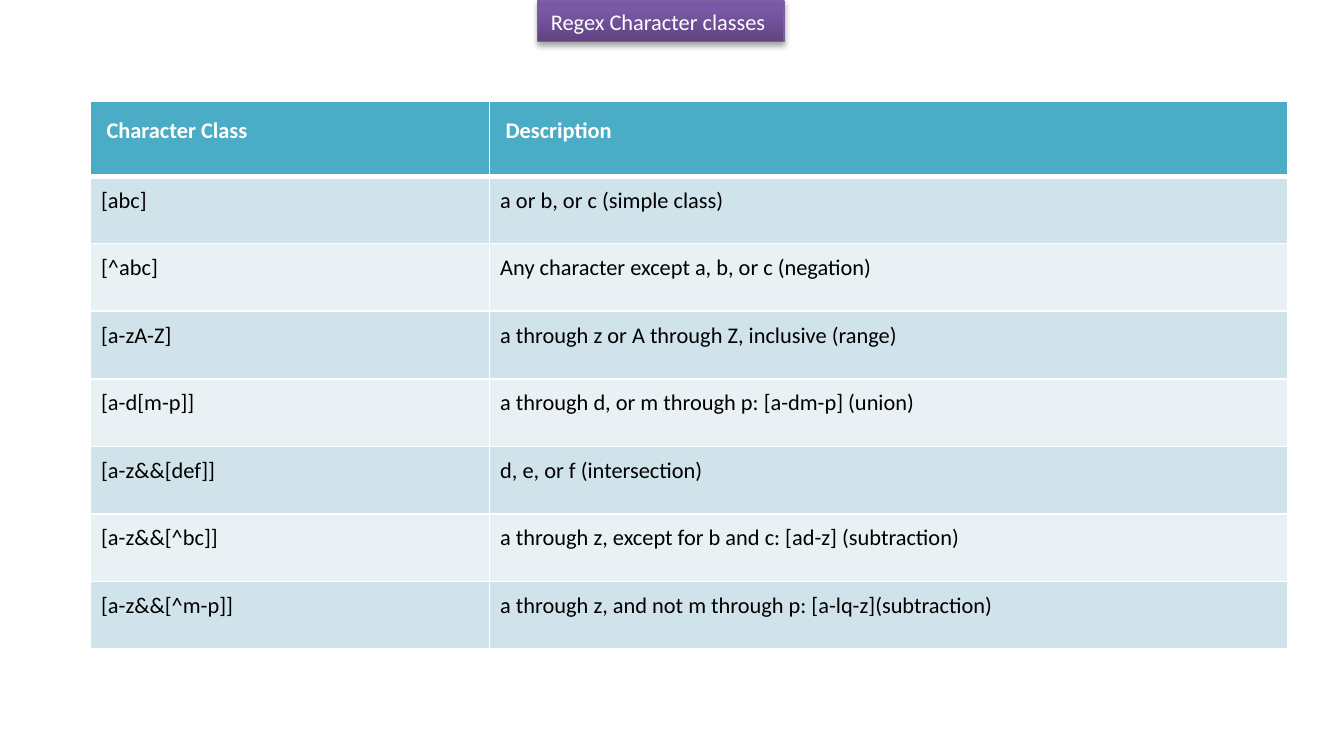
import copy

import pptx
import pptx.dml.color
import pptx.enum.shapes
import pptx.enum.text
import pptx.oxml
import pptx.oxml.ns
import pptx.util

Pt = pptx.util.Pt
qn = pptx.oxml.ns.qn
NAMESPACE = pptx.oxml.ns.nsdecls("a")

HEADER = ("Character Class", "Description")
CLASSES = [
    ("[abc]", "a or b, or c (simple class)"),
    ("[^abc]", "Any character except a, b, or c (negation)"),
    ("[a-zA-Z]", "a through z or A through Z, inclusive (range)"),
    ("[a-d[m-p]]", "a through d, or m through p: [a-dm-p] (union)"),
    ("[a-z&&[def]]", "d, e, or f (intersection)"),
    ("[a-z&&[^bc]]", "a through z, except for b and c: [ad-z] (subtraction)"),
    ("[a-z&&[^m-p]]", "a through z, and not m through p: [a-lq-z](subtraction)"),
]


def color(value):
    return pptx.dml.color.RGBColor.from_string(value)


class SlideBuilder:
    font_name = "Calibri"
    font_size = 12
    white = "FFFFFF"
    black = "000000"
    header_fill = "4BACC6"
    band_fills = ("D0E3EA", "E9F1F5")
    title_line = "7D60A0"
    title_stops = ((0, "5F4480"), (0.8, "7B58A6"), (1, "7C57A8"))

    def __init__(self, page):
        self.page = page

    def set_text(self, frame, text, ink, align, bold=False):
        para = frame.paragraphs[0]
        para.text = text
        para.alignment = align
        para.font.name = self.font_name
        para.font.size = Pt(self.font_size)
        para.font.bold = bold
        para.font.color.rgb = color(ink)

    def title(self, text, left, top, width, height):
        box = self.page.shapes.add_shape(
            pptx.enum.shapes.MSO_SHAPE.RECTANGLE,
            Pt(left), Pt(top), Pt(width), Pt(height))
        box.line.color.rgb = color(self.title_line)
        box.line.width = Pt(0.75)
        self.gradient(box)
        self.shadow(box)
        frame = box.text_frame
        frame.word_wrap = True
        frame.auto_size = pptx.enum.text.MSO_AUTO_SIZE.SHAPE_TO_FIT_TEXT
        frame.vertical_anchor = pptx.enum.text.MSO_ANCHOR.TOP
        self.set_text(frame, text, self.white, pptx.enum.text.PP_ALIGN.LEFT)

    def gradient(self, box):
        box.fill.gradient()
        box.fill.gradient_angle = 90
        stop_list = box.element.spPr.find(qn("a:gradFill")).find(qn("a:gsLst"))
        stop_list.append(copy.deepcopy(stop_list[0]))
        for stop, (position, value) in zip(box.fill.gradient_stops, self.title_stops):
            stop.position = position
            stop.color.rgb = color(value)

    def shadow(self, box):
        box.shadow.inherit = False
        box.element.spPr.find(qn("a:effectLst")).append(pptx.oxml.parse_xml(
            f'<a:outerShdw {NAMESPACE} blurRad="{Pt(3.1)}" dist="{Pt(1.8)}" '
            f'dir="5400000" rotWithShape="0"><a:srgbClr val="{self.black}">'
            '<a:alpha val="35000"/></a:srgbClr></a:outerShdw>'))

    def table(self, rows, left, top, widths, heights):
        table = self.page.shapes.add_table(
            len(rows), len(widths), Pt(left), Pt(top),
            Pt(sum(widths)), Pt(sum(heights))).table
        for column, width in zip(table.columns, widths):
            column.width = Pt(width)
        for index, (texts, height) in enumerate(zip(rows, heights)):
            table.rows[index].height = Pt(height)
            for cell, text in zip(table.rows[index].cells, texts):
                self.cell(cell, text, index)

    def cell(self, cell, text, row):
        header = row == 0
        inset = Pt(8.6 if header else 5.7)
        cell.margin_left = cell.margin_right = inset
        cell.margin_top = cell.margin_bottom = inset
        cell.fill.solid()
        fill = self.header_fill if header else self.band_fills[(row - 1) % 2]
        cell.fill.fore_color.rgb = color(fill)
        self.borders(cell, top=3 if row == 1 else 1, bottom=3 if header else 1)
        if header:
            self.set_text(cell.text_frame, text, self.white,
                          pptx.enum.text.PP_ALIGN.LEFT, bold=True)
        else:
            self.set_text(cell.text_frame, text, self.black,
                          pptx.enum.text.PP_ALIGN.JUSTIFY)

    def borders(self, cell, top, bottom):
        properties = cell._tc.get_or_add_tcPr()
        widths = {"lnL": 1, "lnR": 1, "lnT": top, "lnB": bottom}
        for index, (side, width) in enumerate(widths.items()):
            properties.insert(index, pptx.oxml.parse_xml(
                f'<a:{side} {NAMESPACE} w="{Pt(width)}"><a:solidFill>'
                f'<a:srgbClr val="{self.white}"/></a:solidFill></a:{side}>'))


def main():
    deck = pptx.Presentation()
    deck.slide_width, deck.slide_height = Pt(720), Pt(396)
    builder = SlideBuilder(deck.slides.add_slide(deck.slide_layouts[6]))
    builder.title("Regex Character classes", 288, 0.6, 132, 21.8)
    builder.table([HEADER] + CLASSES, 48.5, 54.2, (213.8, 427.6),
                  [40.2] + [36.2] * len(CLASSES))
    deck.save("out.pptx")


if __name__ == "__main__":
    main()
